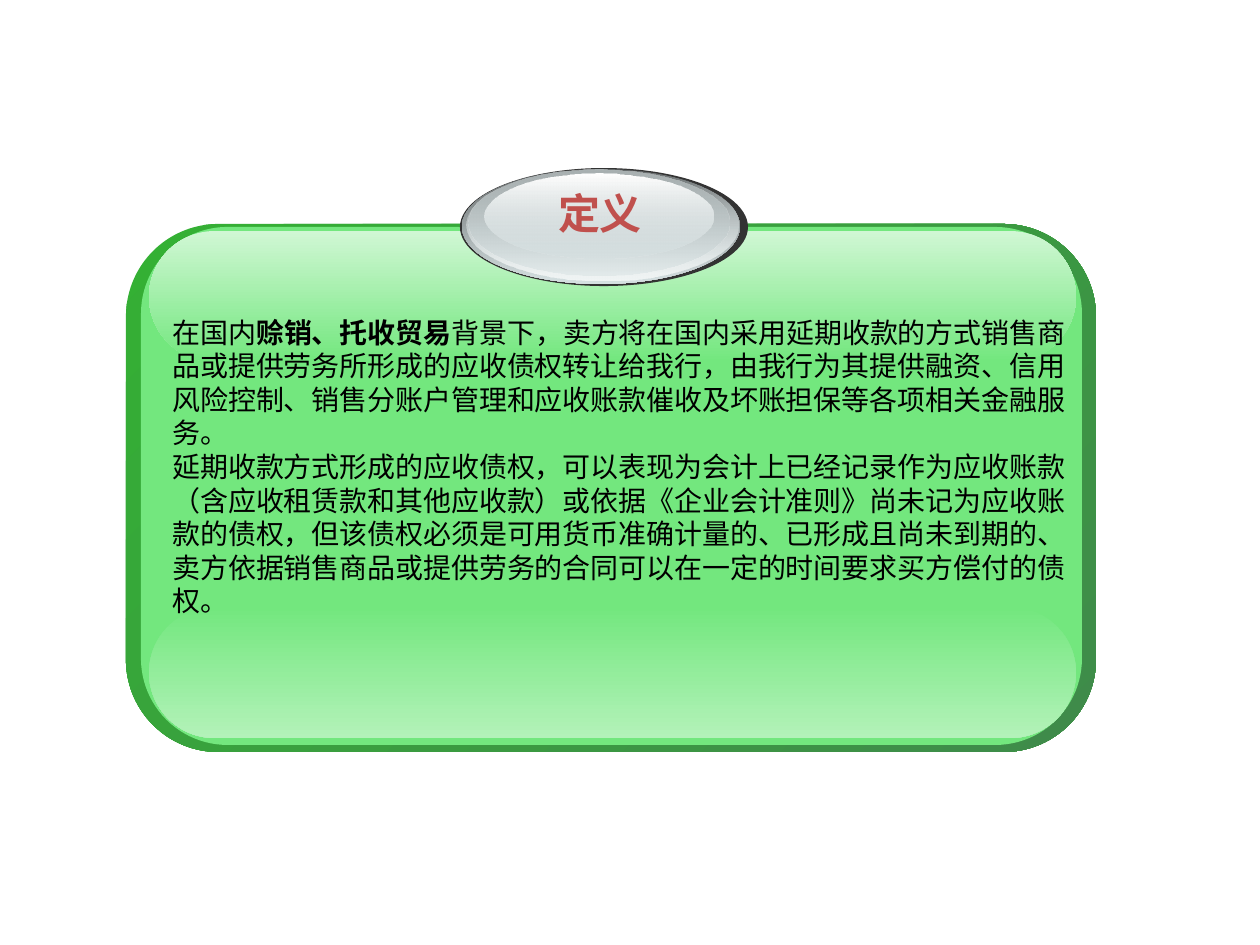
from dataclasses import dataclass

from lxml import etree
from pptx import Presentation
from pptx import util as u
from pptx.dml.color import RGBColor
from pptx.enum import shapes, text
from pptx.oxml.ns import qn

PX = u.Inches(1) / 126
FONT = "Arial"
HUES = {
    "edge": "34B034", "shade": "3F8B4A", "green": "73E77E",
    "mint": "B3F2B9", "pale": "D0F7D4", "dark": "333333",
    "steel": "636869", "silver": "D6E1E2", "frost": "F1F5F5",
    "ash": "AAB2B3", "white": "FFFFFF", "red": "C0504D", "black": "000000",
}
ROUND = shapes.MSO_SHAPE.ROUNDED_RECTANGLE
OVAL = shapes.MSO_SHAPE.OVAL


@dataclass
class Box:
    left: int
    top: int
    width: int
    height: int

    def emu(self) -> list[int]:
        return [round(v * PX) for v in (self.left, self.top, self.width, self.height)]


@dataclass
class Stop:
    hue: str
    alpha: int = 100


@dataclass
class Layer:
    """One stacked shape: a single stop is a plain fill, two make a gradient."""
    kind: int
    box: Box
    stops: list[Stop]
    angle: int = 90
    bend: float = 0


@dataclass
class Part:
    words: str
    bold: bool = False


PANEL = [
    Layer(ROUND, Box(126, 224, 970, 528), [Stop("edge"), Stop("shade")], 45, 0.175),
    Layer(ROUND, Box(141, 227, 941, 518), [Stop("green")], bend=0.167),
    Layer(ROUND, Box(149, 607, 927, 131), [Stop("green"), Stop("mint")], bend=0.5),
    Layer(ROUND, Box(149, 231, 927, 131), [Stop("pale"), Stop("green")], bend=0.5),
]
BADGE = [
    Layer(OVAL, Box(460, 168, 288, 118), [Stop("dark")]),
    Layer(OVAL, Box(462, 169, 278, 115), [Stop("steel"), Stop("silver")]),
    Layer(OVAL, Box(466, 169, 272, 112), [Stop("silver", 0), Stop("frost")]),
    Layer(OVAL, Box(469, 170, 260, 105), [Stop("ash"), Stop("silver", 48)]),
    Layer(OVAL, Box(485, 174, 229, 84), [Stop("white"), Stop("silver", 38)]),
]
BODY = [
    [Part("在国内"), Part("赊销、托收贸易", True),
     Part("背景下，卖方将在国内采用延期收款的方式销售商品或提供劳务所形成的应收债权"
          "转让给我行，由我行为其提供融资、信用风险控制、销售分账户管理和应收账款催收"
          "及坏账担保等各项相关金融服务。")],
    [Part("延期收款方式形成的应收债权，可以表现为会计上已经记录作为应收账款（含应收租赁款"
          "和其他应收款）或依据《企业会计准则》尚未记为应收账款的债权，但该债权必须是可用"
          "货币准确计量的、已形成且尚未到期的、卖方依据销售商品或提供劳务的合同可以在一定"
          "的时间要求买方偿付的债权。")],
]


def color(hue: str) -> RGBColor:
    return RGBColor.from_string(HUES[hue])


def draw(slide, layer: Layer) -> None:
    shape = slide.shapes.add_shape(layer.kind, *layer.box.emu())
    shape.shadow.inherit = False
    shape.line.fill.background()
    if layer.bend:
        shape.adjustments[0] = layer.bend
    if len(layer.stops) == 1:
        shape.fill.solid()
        shape.fill.fore_color.rgb = color(layer.stops[0].hue)
        return
    shape.fill.gradient()
    shape.fill.gradient_angle = 360 - layer.angle
    for mark, stop in zip(shape.fill.gradient_stops, layer.stops):
        mark.color.rgb = color(stop.hue)
    tags = shape.element.iter(qn("a:srgbClr"))
    for tag, stop in zip(list(tags), layer.stops):
        if stop.alpha < 100:
            etree.SubElement(tag, qn("a:alpha"), val=str(stop.alpha * 1000))


def style(run, size: int, hue: str, bold: bool) -> None:
    run.font.name = FONT
    run.font.size = u.Pt(size)
    run.font.bold = bold
    run.font.color.rgb = color(hue)


def add_title(slide, box: Box, words: str) -> None:
    title = slide.shapes.title
    title.left, title.top, title.width, title.height = box.emu()
    frame = title.text_frame
    frame.text = words
    frame.word_wrap = False
    frame.auto_size = text.MSO_AUTO_SIZE.NONE
    frame.vertical_anchor = text.MSO_ANCHOR.TOP
    # Without side margins both characters fit on one line.
    frame.margin_left = frame.margin_right = 0
    line = frame.paragraphs[0]
    line.alignment = text.PP_ALIGN.CENTER
    style(line.runs[0], 24, "red", True)
    # The placeholder comes first in the stack, so lift it above the badge.
    title.element.getparent().append(title.element)


def add_body(slide, box: Box, body: list[list[Part]]) -> None:
    frame = slide.shapes.add_textbox(*box.emu()).text_frame
    frame.word_wrap = True
    frame.text = "\n".join("" for _ in body)
    for line, parts in zip(frame.paragraphs, body):
        for part in parts:
            run = line.add_run()
            run.text = part.words
            style(run, 16, "black", part.bold)


def main() -> None:
    deck = Presentation()
    deck.slide_width, deck.slide_height = u.Inches(10), u.Inches(7.5)
    slide = deck.slides.add_slide(deck.slide_layouts[5])
    for layer in PANEL + BADGE:
        draw(slide, layer)
    add_title(slide, Box(546, 181, 108, 63), "定义")
    add_body(slide, Box(160, 309, 922, 315), BODY)
    deck.save("out.pptx")


if __name__ == "__main__":
    main()
